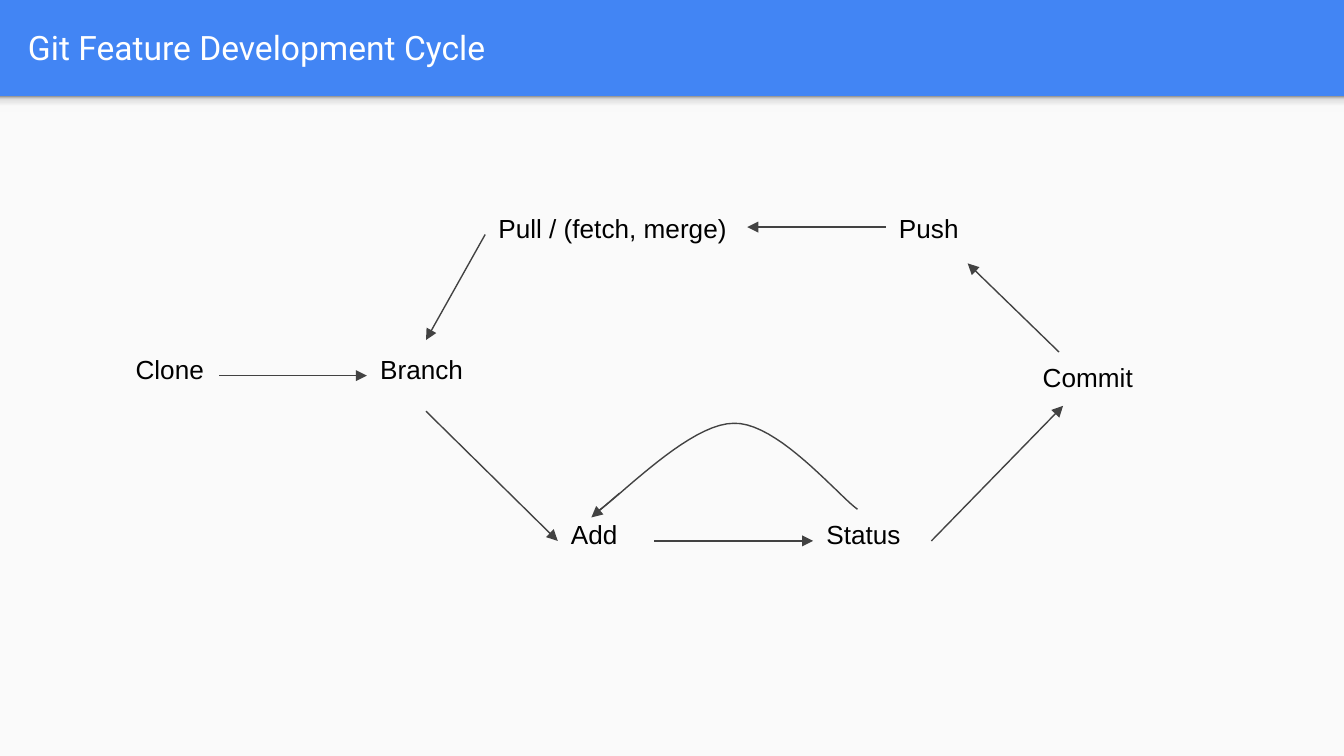
from lxml import etree
from pptx import Presentation
from pptx.dml.color import RGBColor
from pptx.enum.shapes import MSO_CONNECTOR, MSO_SHAPE
from pptx.enum.text import MSO_ANCHOR
from pptx.oxml.ns import qn
from pptx.util import Inches, Pt

BLUE = RGBColor(0x42, 0x85, 0xF4)
PAPER = RGBColor(0xFA, 0xFA, 0xFA)
WHITE = RGBColor(0xFF, 0xFF, 0xFF)
BLACK = RGBColor(0x00, 0x00, 0x00)
GRAY = RGBColor(0x42, 0x42, 0x42)
SHADE_STOPS = [(0, "F9F9F9"), (36, "F9F9F9"), (80, "DEDEDE"), (100, "999999")]
TOP, LEFT, BOTTOM, RIGHT = range(4)
WIDTH = 10
HEIGHT = WIDTH * 9 / 16
BODY_HEIGHT = 4.91
BODY_TOP = HEIGHT - BODY_HEIGHT


class CycleSlide:
    """Holds the style and the current slide, and draws each kind of element."""

    def __init__(self, slide):
        self.slide = slide
        self.shapes = slide.shapes
        slide.background.fill.solid()
        slide.background.fill.fore_color.rgb = BLUE

    def panel(self, left, top, width, height):
        panel = self.shapes.add_shape(
            MSO_SHAPE.RECTANGLE, Inches(left), Inches(top), Inches(width), Inches(height))
        panel.shadow.inherit = False
        panel.line.fill.background()
        panel.fill.solid()
        panel.fill.fore_color.rgb = PAPER
        return panel

    def shade(self, left, top, width, height):
        band = self.panel(left, top, width, height)
        band.fill.gradient()
        band.fill.gradient_angle = 90
        stops = band.element.spPr.find(qn("a:gradFill")).find(qn("a:gsLst"))
        for stop in list(stops):
            stops.remove(stop)
        for percent, color in SHADE_STOPS:
            stop = etree.SubElement(stops, qn("a:gs"), pos=str(percent * 1000))
            etree.SubElement(stop, qn("a:srgbClr"), val=color)

    def label(self, text, left, top, width, height=0.53, size=14, font="Arial",
              color=BLACK, anchor=MSO_ANCHOR.TOP):
        label = self.shapes.add_textbox(
            Inches(left), Inches(top), Inches(width), Inches(height))
        frame = label.text_frame
        frame.word_wrap = True
        frame.vertical_anchor = anchor
        frame.margin_left = frame.margin_right = Inches(0.1)
        frame.margin_top = frame.margin_bottom = Inches(0.1)
        frame.text = text
        run_font = frame.paragraphs[0].runs[0].font
        run_font.size = Pt(size)
        run_font.name = font
        run_font.color.rgb = color
        return label

    def stroke(self, line):
        line.color.rgb = GRAY
        line.width = Pt(0.75)

    def arrow(self, start, end, start_side=None, end_side=None):
        points = [(0, 0) if side is not None else place
                  for place, side in ((start, start_side), (end, end_side))]
        arrow = self.shapes.add_connector(
            MSO_CONNECTOR.STRAIGHT, *[Inches(value) for point in points for value in point])
        if start_side is not None:
            arrow.begin_connect(start, start_side)
        if end_side is not None:
            arrow.end_connect(end, end_side)
        self.stroke(arrow.line)
        outline = arrow.element.spPr.find(qn("a:ln"))
        etree.SubElement(outline, qn("a:tailEnd"), type="triangle")
        etree.SubElement(arrow.element.spPr, qn("a:effectLst"))

    def curve(self, *segments, steps=20):
        points = [segments[0][0]]
        for controls in segments:
            for step in range(1, steps + 1):
                t = step / steps
                weights = ((1 - t) ** 3, 3 * t * (1 - t) ** 2, 3 * t * t * (1 - t), t ** 3)
                points.append(tuple(
                    sum(weight * point[axis] for weight, point in zip(weights, controls))
                    for axis in (0, 1)))
        start, *rest = [(Inches(x), Inches(y)) for x, y in points]
        builder = self.shapes.build_freeform(*start)
        builder.add_line_segments(rest, close=False)
        curve = builder.convert_to_shape()
        curve.shadow.inherit = False
        curve.fill.background()
        self.stroke(curve.line)


def main():
    deck = Presentation()
    deck.slide_width, deck.slide_height = Inches(WIDTH), Inches(HEIGHT)
    cycle = CycleSlide(deck.slides.add_slide(deck.slide_layouts[6]))

    cycle.panel(0, BODY_TOP, WIDTH, BODY_HEIGHT)
    cycle.shade(0, BODY_TOP, WIDTH, 0.12)
    cycle.label("Git Feature Development Cycle", 0.11, 0.02, 9.65, 0.66,
                size=18, font="Roboto", color=WHITE, anchor=MSO_ANCHOR.MIDDLE)

    clone = cycle.label("Clone", 0.91, 2.53, 0.72)
    status = cycle.label("Status", 6.05, 3.76, 0.88)
    add = cycle.label("Add", 4.15, 3.76, 0.72)
    cycle.label("Commit", 7.66, 2.59, 1.03)
    cycle.label("Push", 6.59, 1.48, 0.72)
    pull = cycle.label("Pull / (fetch, merge)", 3.61, 1.48, 1.95)
    branch = cycle.label("Branch", 2.73, 2.53, 0.88)

    cycle.arrow(clone, branch, RIGHT, LEFT)
    cycle.arrow(branch, add, BOTTOM, LEFT)
    cycle.arrow(add, status, RIGHT, LEFT)
    cycle.arrow(status, (7.91, 3.02), start_side=RIGHT)
    cycle.arrow((7.88, 2.62), (7.2, 1.96))
    cycle.arrow((6.59, 1.69), (5.56, 1.69))
    cycle.arrow(pull, branch, LEFT, TOP)

    cycle.curve([(6.38, 3.79), (6.23, 3.68), (5.78, 3.14), (5.46, 3.15)],
                [(5.46, 3.15), (5.13, 3.15), (4.61, 3.7), (4.44, 3.81)])
    cycle.arrow((4.61, 3.67), (4.4, 3.85))

    deck.save("out.pptx")


if __name__ == "__main__":
    main()
